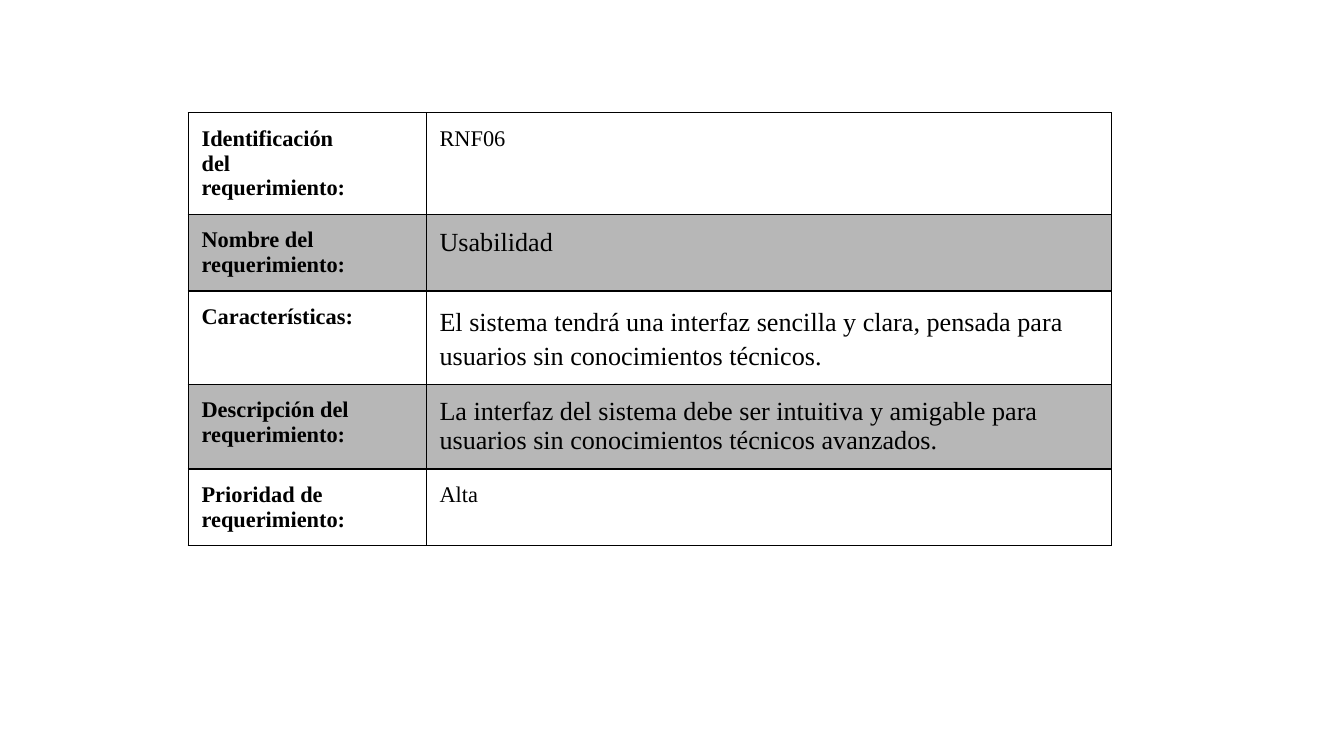
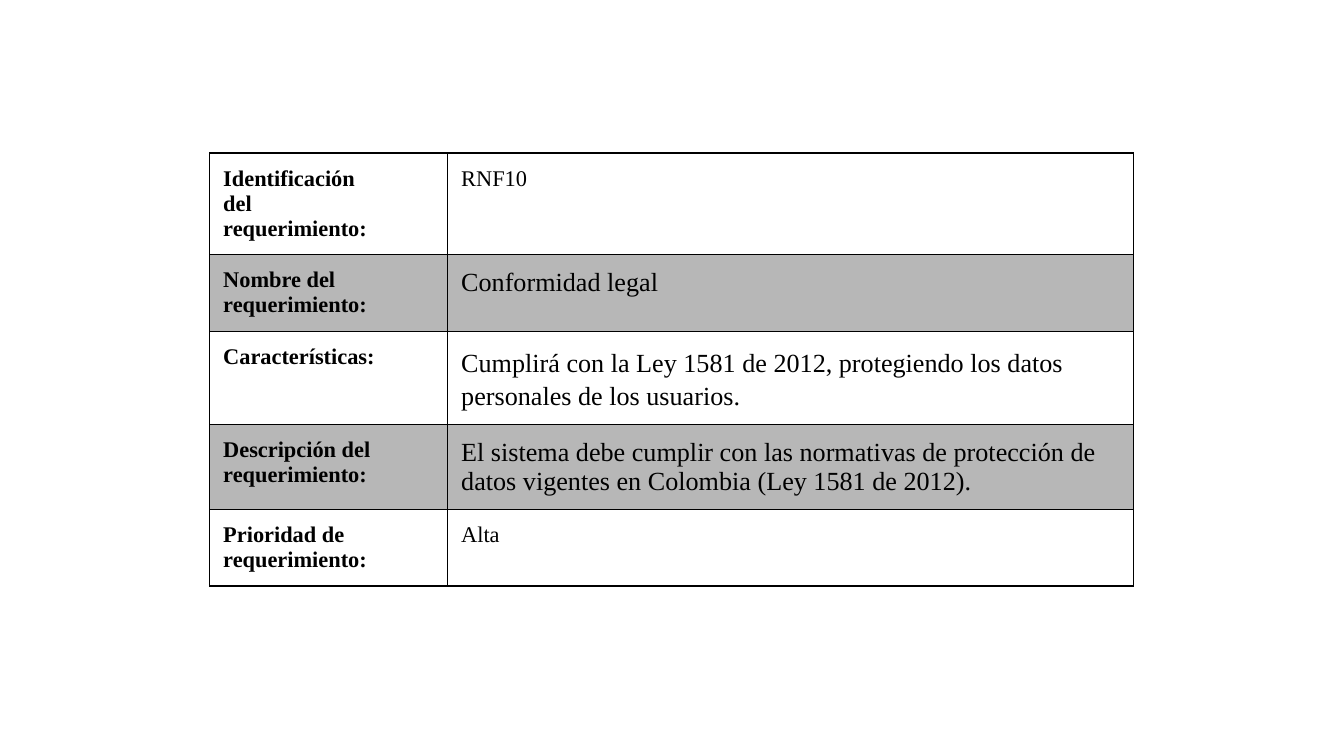
"""Build two slides, each with one requirement table."""
from pptx import Presentation
from pptx.dml.color import RGBColor
from pptx.oxml import parse_xml
from pptx.oxml.ns import nsdecls
from pptx.util import Pt

BLACK = RGBColor(0x00, 0x00, 0x00)
GRAY = RGBColor(0xB7, 0xB7, 0xB7)
FONT = "Times New Roman"
SMALL, LARGE = Pt(12), Pt(14)
WIDTHS = Pt(127.5), Pt(367.2)
ROW = Pt(30.24)
HEIGHT = Pt(236.2)
INSET = Pt(7.2)
LABELS = [
    ("Identificación", "del", "requerimiento:"),
    ("Nombre del", "requerimiento:"),
    ("Características:",),
    ("Descripción del", "requerimiento:"),
    ("Prioridad de", "requerimiento:"),
]
SIZES = [SMALL, LARGE, LARGE, LARGE, SMALL]
SPACED = 2


class Deck:
    def __init__(self):
        self.prs = Presentation()
        self.prs.slide_width, self.prs.slide_height = Pt(720), Pt(405)
        self.slide = None

    def page(self):
        self.slide = self.prs.slides.add_slide(self.prs.slide_layouts[6])

    def border(self, cell):
        props = cell._tc.get_or_add_tcPr()
        for side in "LRTB":
            props.append(parse_xml(
                f'<a:ln{side} {nsdecls("a")} w="{Pt(0.75)}"><a:solidFill>'
                f'<a:srgbClr val="{BLACK}"/></a:solidFill></a:ln{side}>'))

    def cell(self, cell, lines, size, bold, shaded, spacing=None):
        cell.margin_left = cell.margin_right = INSET
        cell.margin_top = cell.margin_bottom = INSET
        self.border(cell)
        if shaded:
            cell.fill.solid()
            cell.fill.fore_color.rgb = GRAY
        else:
            cell.fill.background()
        frame = cell.text_frame
        for i, line in enumerate(lines):
            para = frame.add_paragraph() if i else frame.paragraphs[0]
            if spacing:
                para.line_spacing = spacing
            run = para.add_run()
            run.text = line
            run.font.name = FONT
            run.font.size = size
            run.font.bold = bold
            run.font.color.rgb = BLACK

    def table(self, left, top, values):
        shape = self.slide.shapes.add_table(
            len(LABELS), 2, left, top, sum(WIDTHS), HEIGHT)
        table = shape.table
        table.first_row = table.horz_banding = False
        for col, width in zip(table.columns, WIDTHS):
            col.width = width
        for i, (label, value, size) in enumerate(zip(LABELS, values, SIZES)):
            table.rows[i].height = ROW
            shaded = i % 2 == 1
            self.cell(table.cell(i, 0), label, SMALL, True, shaded)
            self.cell(table.cell(i, 1), [value], size, False, shaded,
                      1.15 if i == SPACED else None)
        shape.height = HEIGHT


def main():
    deck = Deck()
    deck.page()
    deck.table(Pt(100.8), Pt(60.4), [
        "RNF06",
        "Usabilidad",
        "El sistema tendrá una interfaz sencilla y clara, pensada para "
        "usuarios sin conocimientos técnicos.",
        "La interfaz del sistema debe ser intuitiva y amigable para "
        "usuarios sin conocimientos técnicos avanzados.",
        "Alta",
    ])
    deck.page()
    deck.table(Pt(112.4), Pt(82), [
        "RNF10",
        "Conformidad legal",
        "Cumplirá con la Ley 1581 de 2012, protegiendo los datos "
        "personales de los usuarios.",
        "El sistema debe cumplir con las normativas de protección de "
        "datos vigentes en Colombia (Ley 1581 de 2012).",
        "Alta",
    ])
    deck.prs.save("out.pptx")


if __name__ == "__main__":
    main()
